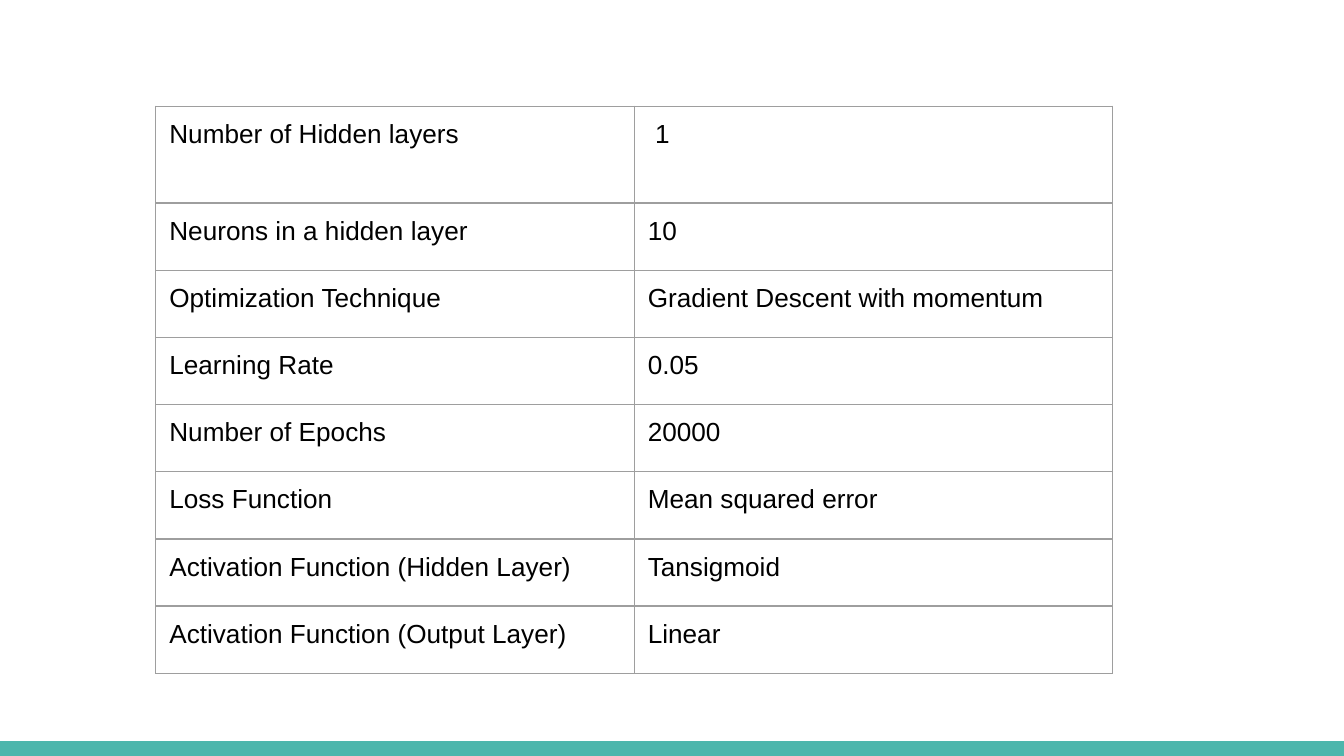
import dataclasses

import lxml.etree
import pptx
import pptx.dml.color
import pptx.enum.shapes
import pptx.oxml.ns
import pptx.slide
import pptx.table
import pptx.util

Inches = pptx.util.Inches

SLIDE_WIDTH = Inches(10)
SLIDE_HEIGHT = SLIDE_WIDTH * 9 // 16
BAR_HEIGHT = Inches(0.11)
FONT = "Arial"
TEXT_COLOR = "000000"
BORDER_COLOR = "9E9E9E"
BAR_COLOR = "4DB6AC"
CELL_MARGIN = Inches(0.1)


@dataclasses.dataclass(frozen=True)
class Setting:
    label: str
    value: str
    height: float = 0.5


SETTINGS = [
    Setting("Number of Hidden layers", " 1", height=0.72),
    Setting("Neurons in a hidden layer", "10"),
    Setting("Optimization Technique", "Gradient Descent with momentum"),
    Setting("Learning Rate", "0.05"),
    Setting("Number of Epochs", "20000"),
    Setting("Loss Function", "Mean squared error"),
    Setting("Activation Function (Hidden Layer)", "Tansigmoid"),
    Setting("Activation Function (Output Layer)", "Linear"),
]


def color(value: str) -> pptx.dml.color.RGBColor:
    return pptx.dml.color.RGBColor.from_string(value)


def add_borders(cell: pptx.table._Cell) -> None:
    properties = cell._tc.get_or_add_tcPr()
    qualified = pptx.oxml.ns.qn
    for side in ("a:lnL", "a:lnR", "a:lnT", "a:lnB"):
        line = lxml.etree.SubElement(
            properties, qualified(side), w=str(pptx.util.Pt(0.75)))
        fill = lxml.etree.SubElement(line, qualified("a:solidFill"))
        lxml.etree.SubElement(fill, qualified("a:srgbClr"), val=BORDER_COLOR)


def fill_cell(cell: pptx.table._Cell, text: str) -> None:
    cell.margin_left = cell.margin_right = CELL_MARGIN
    cell.margin_top = cell.margin_bottom = CELL_MARGIN
    add_borders(cell)
    cell.fill.background()
    cell.text = text
    paragraph = cell.text_frame.paragraphs[0]
    paragraph.font.name = FONT
    paragraph.font.size = pptx.util.Pt(14)
    paragraph.font.color.rgb = color(TEXT_COLOR)


def add_settings_table(slide: pptx.slide.Slide, settings: list[Setting]) -> None:
    column_width = 3.56
    height = sum(setting.height for setting in settings)
    table = slide.shapes.add_table(
        len(settings), 2, Inches(1.16), Inches(0.79),
        Inches(2 * column_width), Inches(height)).table
    table.first_row = False
    table.horz_banding = False
    for column in table.columns:
        column.width = Inches(column_width)
    for index, setting in enumerate(settings):
        table.rows[index].height = Inches(setting.height)
        fill_cell(table.cell(index, 0), setting.label)
        fill_cell(table.cell(index, 1), setting.value)


def add_bottom_bar(slide: pptx.slide.Slide) -> None:
    bar = slide.shapes.add_shape(
        pptx.enum.shapes.MSO_SHAPE.RECTANGLE,
        Inches(0), SLIDE_HEIGHT - BAR_HEIGHT, SLIDE_WIDTH, BAR_HEIGHT)
    bar.shadow.inherit = False
    bar.fill.solid()
    bar.fill.fore_color.rgb = color(BAR_COLOR)
    bar.line.fill.background()


def main() -> None:
    presentation = pptx.Presentation()
    presentation.slide_width = SLIDE_WIDTH
    presentation.slide_height = SLIDE_HEIGHT
    slide = presentation.slides.add_slide(presentation.slide_layouts[6])

    # Coloured bar along the bottom edge
    add_bottom_bar(slide)

    # Network settings
    add_settings_table(slide, SETTINGS)

    presentation.save("out.pptx")


if __name__ == "__main__":
    main()
